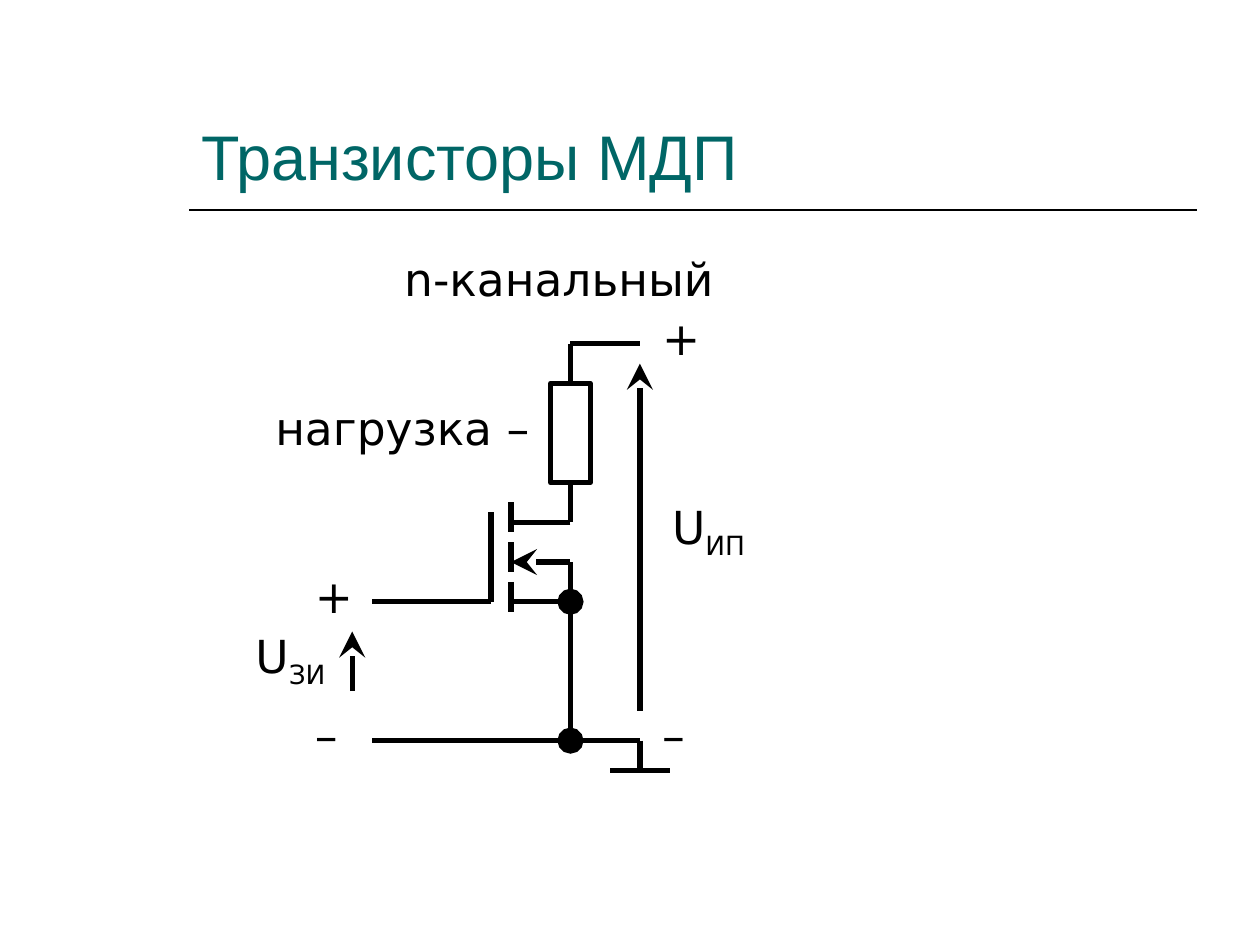
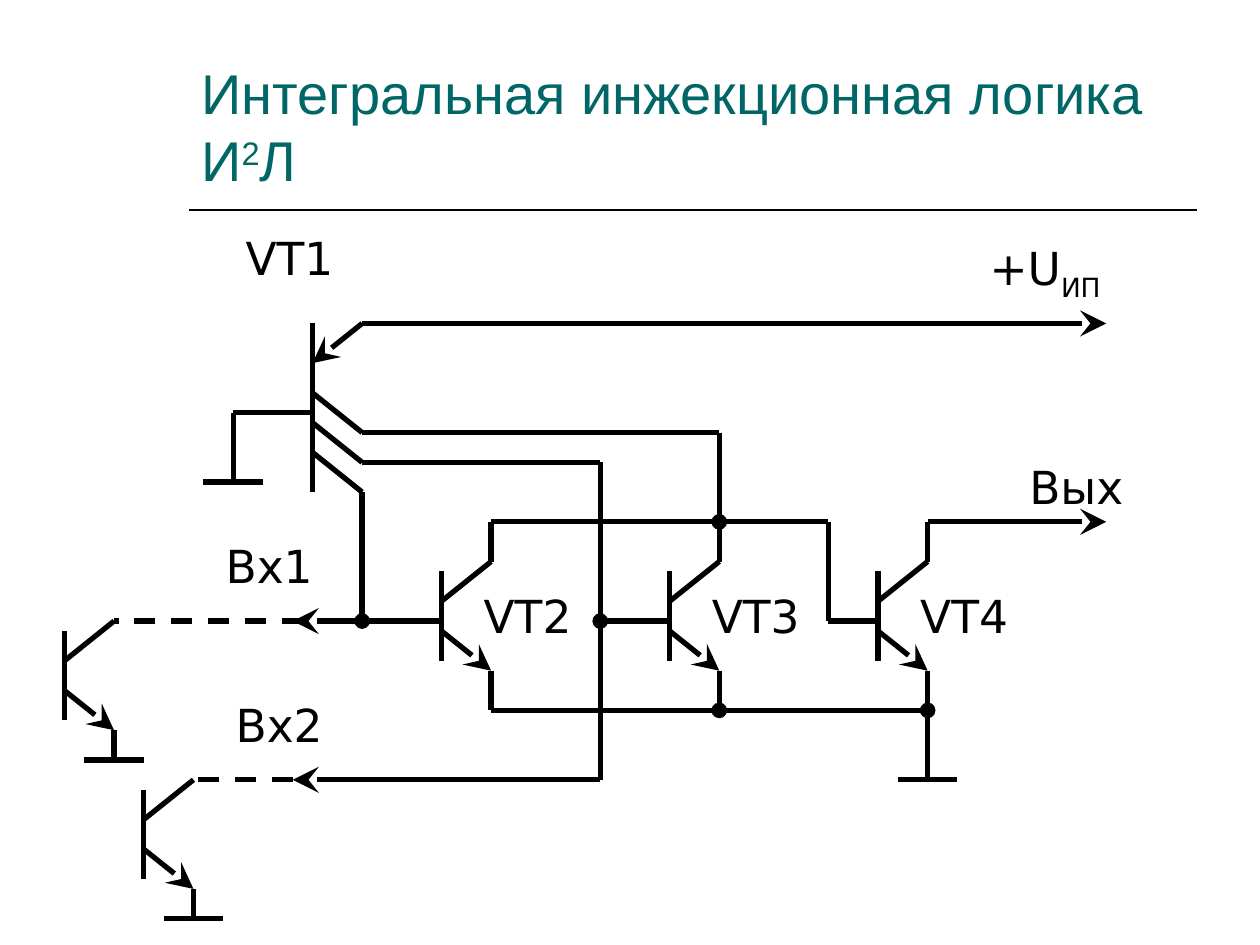
from typing import NamedTuple

from pptx import Presentation
from pptx.dml.color import RGBColor
from pptx.enum.dml import MSO_LINE
from pptx.enum.shapes import MSO_CONNECTOR, MSO_SHAPE
from pptx.enum.text import MSO_ANCHOR
from pptx.oxml.ns import qn
from pptx.util import Cm, Pt
from lxml.etree import SubElement

BLACK = RGBColor(0x00, 0x00, 0x00)
WHITE = RGBColor(0xFF, 0xFF, 0xFF)
TEAL = RGBColor(0x00, 0x66, 0x66)
TITLE_FONT = "Arial"
LABEL_FONT = "DejaVu Sans"
LABEL_SIZE = 26
SUBSCRIPT = -25000
SUPERSCRIPT = 30000
TOP, BOTTOM = 0, 2


class Box(NamedTuple):
    left: float
    top: float
    width: float
    height: float


TITLE_BOX = Box(3.81, 0.84, 20.32, 3.18)
RULE_DROP = 3.4
MOS_BOX = Box(4.9, 4.93, 10.6, 10.6)
LOGIC_BOX = Box(1.3, 4.52, 22.6, 14)


def add_text(page, box, pieces, font, size, color):
    frame = page.shapes.add_textbox(*map(Cm, box)).text_frame
    frame.word_wrap = True
    para = frame.paragraphs[0]
    para.text = pieces[0][0]
    for text, _ in pieces[1:]:
        para.add_run().text = text
    for span in para.runs:
        span.font.name = font
        span.font.size = Pt(size)
        span.font.color.rgb = color
    for span, (_, baseline) in zip(para.runs[1 - len(pieces):], pieces[1:]):
        if baseline:
            span.font._element.set("baseline", str(baseline))
    return frame


def add_line(page, start, end, width=3):
    points = [Cm(value) for value in (*start, *end)]
    line = page.shapes.add_connector(MSO_CONNECTOR.STRAIGHT, *points)
    line.line.color.rgb = BLACK
    line.line.width = Pt(width)
    SubElement(line._element.spPr, qn("a:effectLst"))
    return line


def add_title(page, box, pieces, size):
    frame = add_text(page, box, pieces, TITLE_FONT, size, TEAL)
    frame.vertical_anchor = MSO_ANCHOR.BOTTOM
    rule_y = box.top + RULE_DROP
    add_line(page, (box.left, rule_y), (box.left + box.width, rule_y), 1)


class Circuit:
    def __init__(self, page, box, dot_size):
        self.page = page
        self.box = box
        self.dot_size = dot_size

    def place(self, x, y):
        return self.box.left + x, self.box.top + y

    def wire(self, *points):
        return [add_line(self.page, self.place(*start), self.place(*end))
                for start, end in zip(points, points[1:])]

    def end_mark(self, line, kind, size):
        SubElement(line.line._get_or_add_ln(), qn("a:tailEnd"),
                   type=kind, w=size, len=size)

    def arrow(self, *points):
        self.end_mark(self.wire(*points)[-1], "stealth", "lg")

    def wire_to_dot(self, *points):
        self.end_mark(self.wire(*points)[-1], "oval", self.dot_size)

    def dashed(self, start, end):
        self.wire(start, end)[0].line.dash_style = MSO_LINE.DASH

    def ground(self, x, y):
        self.wire((x - 0.6, y), (x + 0.6, y))

    def label(self, x, y, text, subscript="", width=2.6):
        pieces = [(text, 0)] + ([(subscript, SUBSCRIPT)] if subscript else [])
        area = Box(*self.place(x, y), width, 1.52 if subscript else 1.37)
        add_text(self.page, area, pieces, LABEL_FONT, LABEL_SIZE, BLACK)

    def transistor(self, x, y):
        self.wire((x, y + 0.2), (x, y + 2))
        self.wire((x, y + 0.8), (x + 1, y))
        self.arrow((x, y + 1.4), (x + 1, y + 2.2))

    def resistor(self, x, y, width, height):
        body = self.page.shapes.add_shape(
            MSO_SHAPE.RECTANGLE, *map(Cm, (*self.place(x, y), width, height)))
        body.shadow.inherit = False
        body.fill.solid()
        body.fill.fore_color.rgb = WHITE
        body.line.color.rgb = BLACK
        body.line.width = Pt(3)
        return body


def draw_mos_stage(page, box):
    circuit = Circuit(page, box, "lg")
    gate, channel, drain, supply = 5, 5.4, 6.6, 8
    source_y, common_y = 7.2, 10

    circuit.wire((2.6, source_y), (gate, source_y), (gate, 5.4))
    for row in range(3):
        middle = 5.5 + 0.8 * row
        circuit.wire((channel, middle - 0.3), (channel, middle + 0.3))
    circuit.arrow((drain, source_y), (drain, 6.4), (channel, 6.4))
    circuit.wire((channel, source_y), (drain, source_y))
    circuit.wire_to_dot((drain, common_y), (drain, source_y))
    circuit.wire_to_dot((2.6, common_y), (drain, common_y))
    circuit.wire((drain, common_y), (supply, common_y), (supply, 10.6))
    circuit.ground(supply, 10.6)

    load = circuit.resistor(drain - 0.4, 2.8, 0.8, 2)
    feed = circuit.wire((supply, 2), (drain, 2), (drain, 2.8))[-1]
    feed.end_connect(load, TOP)
    outlet = circuit.wire((drain, 4.8), (drain, 5.6), (channel, 5.6))[0]
    outlet.begin_connect(load, BOTTOM)

    circuit.arrow((2.2, 9), (2.2, 7.8))
    circuit.arrow((supply, 9.4), (supply, 2.4))

    circuit.label(3, 0, "n-канальный", width=7.4)
    circuit.label(0.4, 3, "нагрузка –", width=6.6)
    circuit.label(0, 7.6, "U", "ЗИ", 2.2)
    circuit.label(8.4, 5, "U", "ИП", 2.2)
    for x, y, sign in ((1.2, 6.4, "+"), (1.2, 9.2, "–"),
                       (8.2, 1.2, "+"), (8.2, 9.2, "–")):
        circuit.label(x, y, sign, width=2.2)


def draw_injector(circuit):
    base, collector = 5, 6
    circuit.wire((base, 2), (base, 5.4))
    circuit.arrow((collector, 2), (base, 2.8))
    circuit.arrow((collector, 2), (21, 2))
    circuit.wire((base, 3.8), (3.4, 3.8), (3.4, 5.2))
    circuit.ground(3.4, 5.2)
    circuit.wire_to_dot((base, 4.6), (collector, 5.4), (collector, 8))
    circuit.wire_to_dot((base, 4), (collector, 4.8), (10.8, 4.8), (10.8, 8))
    circuit.wire((base, 3.4), (collector, 4.2), (13.2, 4.2), (13.2, 6))
    circuit.label(3.4, 0, "VT1")
    circuit.label(18.4, 0.2, "+U", "ИП", 3.4)


def draw_injection_logic(page, box):
    circuit = Circuit(page, box, "med")
    draw_injector(circuit)

    bases = (7.6, 12.2, 16.4)
    for number, base in enumerate(bases, 2):
        circuit.transistor(base, 6.8)
        circuit.wire((base + 1, 6.8), (base + 1, 6))
        circuit.wire((base + 1, 9), (base + 1, 9.8))
        circuit.label(base + 0.6, 7.2, f"VT{number}")
    first, second, third = (base + 1 for base in bases)
    circuit.wire_to_dot((first, 6), (second, 6))
    circuit.wire_to_dot((first, 9.8), (second, 9.8))
    circuit.wire_to_dot((second, 9.8), (third, 9.8))
    circuit.wire((second, 6), (15.4, 6), (15.4, 8), (bases[2], 8))
    circuit.wire((10.8, 8), (bases[1], 8))
    circuit.wire((third, 9.8), (third, 11.2))
    circuit.ground(third, 11.2)
    circuit.arrow((third, 6), (21, 6))
    circuit.label(19.2, 4.6, "Вых", width=3.4)

    circuit.arrow((bases[0], 8), (4.6, 8))
    circuit.arrow((10.8, 8), (10.8, 11.2), (4.6, 11.2))
    for x, y, dash_end in ((0, 8, 4.8), (1.6, 11.2, 4.6)):
        circuit.transistor(x, y)
        circuit.wire((x + 1, y + 2.2), (x + 1, y + 2.8))
        circuit.ground(x + 1, y + 2.8)
        circuit.dashed((dash_end, y), (x + 1, y))
    circuit.label(3, 6.2, "Вх1")
    circuit.label(3.2, 9.4, "Вх2")


def main():
    deck = Presentation()
    deck.slide_width, deck.slide_height = Cm(25.4), Cm(19.05)
    slides = (
        ([("Транзисторы МДП", 0)], 36, draw_mos_stage, MOS_BOX),
        ([("Интегральная инжекционная логика\vИ", 0), ("2", SUPERSCRIPT),
          ("Л", 0)], 32, draw_injection_logic, LOGIC_BOX),
    )
    for title, size, draw, box in slides:
        page = deck.slides.add_slide(deck.slide_layouts[6])
        add_title(page, TITLE_BOX, title, size)
        draw(page, box)
    deck.save("out.pptx")


if __name__ == "__main__":
    main()
